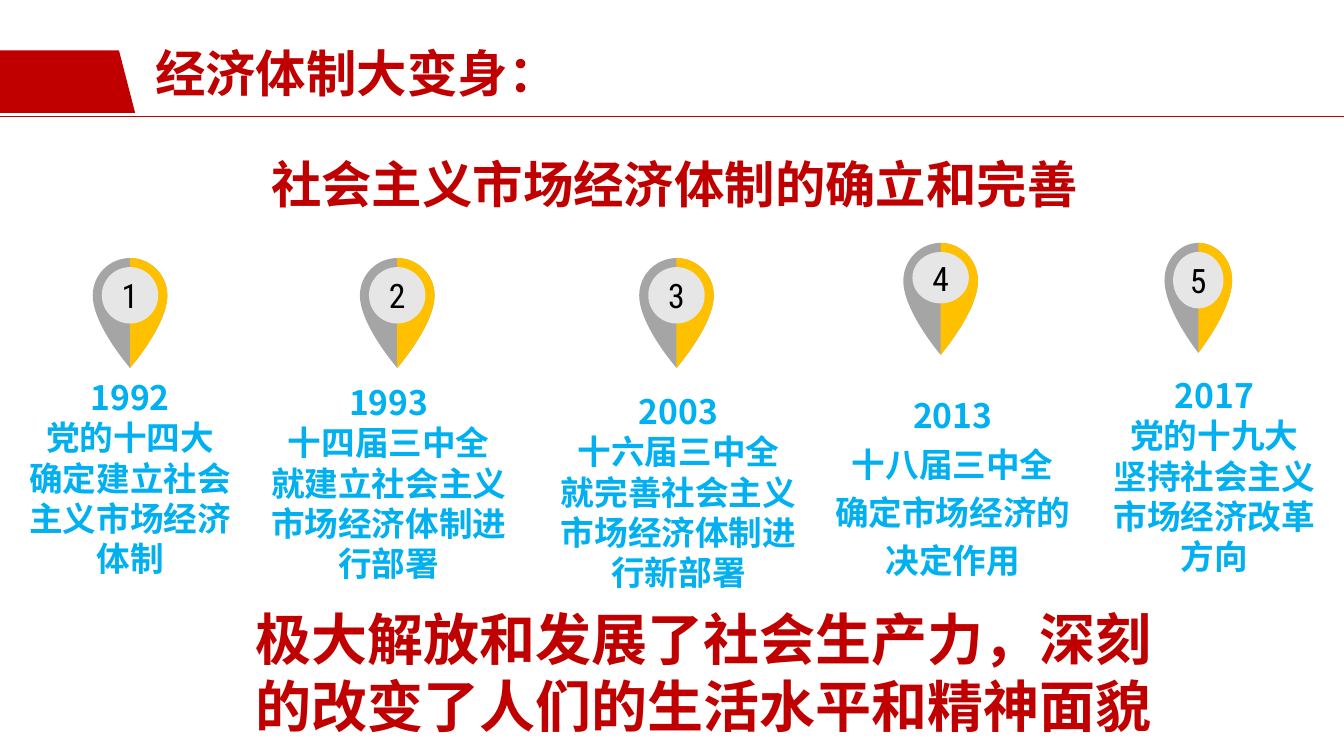
from pptx import Presentation
from pptx.dml.color import RGBColor
from pptx.enum.shapes import MSO_CONNECTOR, MSO_SHAPE
from pptx.enum.text import MSO_ANCHOR, MSO_AUTO_SIZE, PP_ALIGN
from pptx.oxml.ns import qn
from pptx.util import Inches, Pt
from lxml import etree

# Content
SANS, DIGITS = "Noto Sans CJK SC", "Roboto Condensed"
RED, BLUE, GREY, GOLD, PALE, BLACK = (
    "C00000", "00B0F0", "A5A5A5", "FFC000", "E7E6E6", "000000")

# Text, box (left, top, width, height), size
HEADLINES = [
    ("经济体制大变身：", (1.44, 0.37, 5.62, 0.71), 36),
    ("社会主义市场经济体制的确立和完善", (2.59, 1.47, 8.27, 0.71), 36),
    ("极大解放和发展了社会生产力，深刻的改变了人们的生活水平和精神面貌",
     (2.44, 5.95, 9.49, 1.45), 40),
]

# Lines of text, pin box, disc size, text box, line spacing
MILESTONES = [
    (("1992", "党的十四大", "确定建立社会主义市场经济体制"),
     (0.92, 2.56, 0.74, 1.09), (0.56, 0.56), (0.1, 3.69, 2.38, 2.12), None),
    (("1993", "十四届三中全", "就建立社会主义市场经济体制进行部署"),
     (3.57, 2.56, 0.74, 1.09), (0.56, 0.56), (2.48, 3.74, 2.75, 2.12), None),
    (("2003", "十六届三中全", "就完善社会主义市场经济体制进行新部署"),
     (6.34, 2.56, 0.74, 1.09), (0.56, 0.56), (5.31, 3.83, 2.84, 2.12), None),
    (("2013", "十八届三中全", "确定市场经济的决定作用"),
     (8.96, 2.41, 0.74, 1.11), (0.56, 0.51), (8.15, 3.79, 2.6, 2.04), 1.2),
    (("2017", "党的十九大", "坚持社会主义市场经济改革方向"),
     (11.55, 2.41, 0.67, 1.09), (0.5, 0.56), (10.86, 3.67, 2.37, 2.12), None),
]
DISC_DROP = 0.09

# Pin outlines in shares of the pin's box: a start, then three points per curve
TOP, TIP, SIDE = (0.5, 0), (0.5, 1), (1, 0.34)
LOWER_RIGHT = [(1, 0.61), TIP, TIP]
UPPER_RIGHT = [(1, 0.15), (0.77, 0), TOP]
LEFT = [(0.23, 0), (0, 0.15), (0, 0.34), (0, 0.61), TIP, TIP]
PIN_BODY = [TOP, *LEFT, *LOWER_RIGHT[1::-1], SIDE, *UPPER_RIGHT]
PIN_HALF = [TOP, TIP, TIP, *LOWER_RIGHT[1:2], *LOWER_RIGHT[1::-1], SIDE, *UPPER_RIGHT]


def rgb(color):
    return RGBColor.from_string(color)


def paint(sp, color):
    sp.shadow.inherit = False
    sp.fill.solid()
    sp.fill.fore_color.rgb = rgb(color)
    sp.line.fill.background()


def add_run(p, text, size, color, font=SANS, bold=True):
    r = p.add_run()
    r.text = text
    r.font.size, r.font.bold, r.font.name = Pt(size), bold, font
    r.font.color.rgb = rgb(color)
    ea = etree.SubElement(r._r.get_or_add_rPr(), qn("a:ea"))
    ea.set("typeface", font)


def add_text(shapes, lines, box, size, color, align=PP_ALIGN.LEFT, spacing=None):
    tf = shapes.add_textbox(*map(Inches, box)).text_frame
    tf.word_wrap = True
    tf.auto_size = MSO_AUTO_SIZE.SHAPE_TO_FIT_TEXT
    for i, line in enumerate(lines):
        p = tf.add_paragraph() if i else tf.paragraphs[0]
        p.alignment = align
        if spacing:
            p.line_spacing = spacing
        add_run(p, line, size, color)


def add_outline(shapes, points, color):
    pts = [(Inches(x), Inches(y)) for x, y in points]
    builder = shapes.build_freeform(*pts[0])
    builder.add_line_segments(pts[1:], close=True)
    sp = builder.convert_to_shape()
    paint(sp, color)
    return sp


def curve_outline(sp):
    """Turn every three line segments into one Bezier curve."""
    segments = list(sp._element.iter(qn("a:lnTo")))
    for i in range(0, len(segments) - 2, 3):
        curve = etree.Element(qn("a:cubicBezTo"))
        segments[i].addprevious(curve)
        for segment in segments[i:i + 3]:
            curve.append(segment[0])
            segment.getparent().remove(segment)


def add_pin(shapes, number, box, disc):
    x, y, w, h = box
    for outline, color in ((PIN_BODY, GREY), (PIN_HALF, GOLD)):
        points = [(x + u * w, y + v * h) for u, v in outline]
        curve_outline(add_outline(shapes, points, color))
    # Numbered disc
    dw, dh = disc
    sp = shapes.add_shape(MSO_SHAPE.OVAL, Inches(x + (w - dw) / 2),
                          Inches(y + DISC_DROP), Inches(dw), Inches(dh))
    paint(sp, PALE)
    tf = sp.text_frame
    tf.margin_left = tf.margin_right = tf.margin_top = tf.margin_bottom = 0
    tf.vertical_anchor = MSO_ANCHOR.MIDDLE
    p = tf.paragraphs[0]
    p.alignment = PP_ALIGN.CENTER
    add_run(p, str(number), 24, BLACK, DIGITS, False)


def main():
    prs = Presentation()
    prs.slide_width, prs.slide_height = Inches(13.33), Inches(7.5)
    shapes = prs.slides.add_slide(prs.slide_layouts[6]).shapes

    # Title rule and red tab
    rule = shapes.add_connector(MSO_CONNECTOR.STRAIGHT, prs.slide_width,
                                Inches(1.16), 0, Inches(1.16))
    rule.line.color.rgb = rgb(RED)
    rule.line.width = Pt(0.75)
    etree.SubElement(rule._element.spPr, qn("a:effectLst"))
    add_outline(shapes, [(-0.01, 0.5), (1.18, 0.5), (1.34, 1.12), (-0.01, 1.12)], RED)

    # Headlines
    for text, box, size in HEADLINES:
        add_text(shapes, [text], box, size, RED)

    # Milestones, each a pin with its text
    for number, (lines, pin, disc, box, spacing) in enumerate(MILESTONES, 1):
        group = shapes.add_group_shape().shapes
        add_pin(group, number, pin, disc)
        add_text(group, lines, box, 24, BLUE, PP_ALIGN.CENTER, spacing)

    prs.save("out.pptx")


if __name__ == "__main__":
    main()
